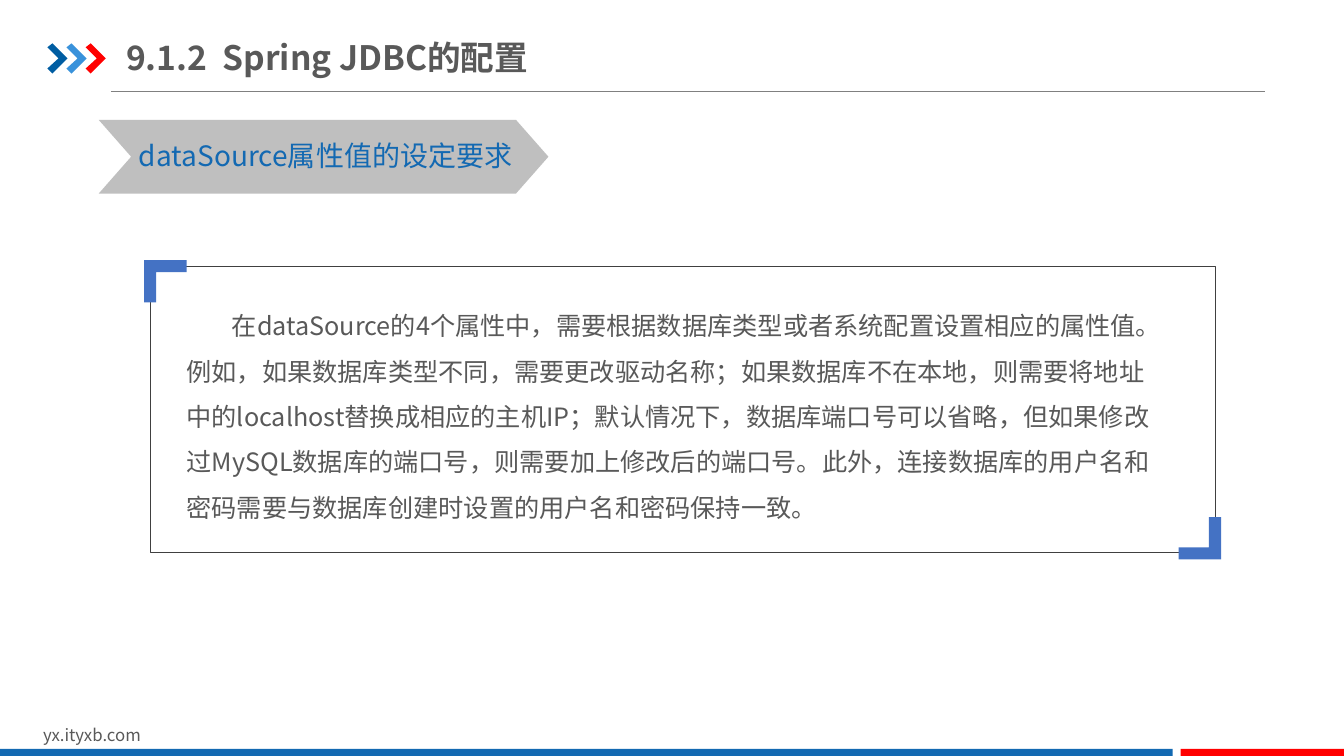
from dataclasses import dataclass

from lxml.etree import SubElement
from pptx import Presentation
from pptx.dml.color import RGBColor
from pptx.enum.shapes import MSO_CONNECTOR, MSO_SHAPE
from pptx.enum.text import MSO_ANCHOR, MSO_AUTO_SIZE, PP_ALIGN
from pptx.oxml.ns import qn
from pptx.util import Inches, Pt


@dataclass(frozen=True)
class Theme:
    font: str = "Noto Sans CJK SC"
    text: RGBColor = RGBColor(0x59, 0x59, 0x59)
    blue: RGBColor = RGBColor(0x13, 0x69, 0xB2)
    navy: RGBColor = RGBColor(0x00, 0x5D, 0xA2)
    sky: RGBColor = RGBColor(0x39, 0x92, 0xDB)
    red: RGBColor = RGBColor(0xFF, 0x00, 0x00)
    bracket: RGBColor = RGBColor(0x44, 0x72, 0xC4)
    banner: RGBColor = RGBColor(0xBF, 0xBF, 0xBF)
    rule: RGBColor = RGBColor(0x80, 0x80, 0x80)
    frame: RGBColor = RGBColor(0x40, 0x40, 0x40)
    title_size: Pt = Pt(24)
    topic_size: Pt = Pt(20)
    body_size: Pt = Pt(18)
    footer_size: Pt = Pt(12)


theme = Theme()
prs = Presentation()
prs.slide_width, prs.slide_height = Inches(13.33), Inches(7.5)
slide = prs.slides.add_slide(prs.slide_layouts[1])
shapes = slide.shapes


def write_text(holder, box, text, size, color, bold=False, margins=(0.1, 0.05), anchor=MSO_ANCHOR.TOP):
    """Place a text holder at box (inches) and fill it with one formatted paragraph."""
    for side, value in zip(("left", "top", "width", "height"), box):
        setattr(holder, side, Inches(value))
    frame = holder.text_frame
    frame_format = {
        "word_wrap": True,
        "auto_size": MSO_AUTO_SIZE.NONE,
        "vertical_anchor": anchor,
        "margin_left": Inches(margins[0]),
        "margin_right": Inches(margins[0]),
        "margin_top": Inches(margins[1]),
        "margin_bottom": Inches(margins[1]),
    }
    for name, value in frame_format.items():
        setattr(frame, name, value)
    paragraph = frame.paragraphs[0]
    paragraph.alignment = PP_ALIGN.LEFT
    paragraph.space_before = Pt(0)
    run = paragraph.add_run()
    run.text = text
    run.font.color.rgb = color
    for name, value in {"name": theme.font, "size": size, "bold": bold}.items():
        setattr(run.font, name, value)
    SubElement(run.font._element, qn("a:ea"), typeface=theme.font)
    return paragraph


def add_polygon(points, color):
    start, *rest = [(Inches(x), Inches(y)) for x, y in points]
    builder = shapes.build_freeform(*start)
    builder.add_line_segments(rest, close=True)
    polygon = builder.convert_to_shape()
    polygon.shadow.inherit = False
    polygon.fill.solid()
    polygon.fill.fore_color.rgb = color
    polygon.line.fill.background()


# Heading
heading_rule = shapes.add_connector(
    MSO_CONNECTOR.STRAIGHT, Inches(1.1), Inches(0.91), Inches(12.55), Inches(0.91))
heading_rule.line.color.rgb = theme.rule
heading_rule.line.width = Pt(0.5)
SubElement(heading_rule._element.spPr, qn("a:effectLst"))

arrow_outline = [(0, 0.04), (0.05, 0), (0.2, 0.15), (0.05, 0.3), (0, 0.25), (0.11, 0.15)]
for index, color in enumerate((theme.navy, theme.sky, theme.red)):
    left = 0.47 + index * 0.19
    add_polygon([(left + x, 0.43 + y) for x, y in arrow_outline], color)

write_text(shapes.title, (1.25, 0.29, 4.6, 0.55), "9.1.2  Spring JDBC的配置",
           theme.title_size, theme.text, True, (0, 0.07), MSO_ANCHOR.MIDDLE)

# Filled bands: footer bars and topic banner
bands = [
    (MSO_SHAPE.RECTANGLE, (0, 7.43, 11.63, 0.07), theme.blue),
    (MSO_SHAPE.RECTANGLE, (11.71, 7.43, 1.62, 0.07), theme.red),
    (MSO_SHAPE.CHEVRON, (0.98, 1.19, 4.46, 0.73), theme.banner),
]
for kind, box, color in bands:
    band = shapes.add_shape(kind, *map(Inches, box))
    band.shadow.inherit = False
    band.fill.solid()
    band.fill.fore_color.rgb = color
    band.line.fill.background()
    if kind == MSO_SHAPE.CHEVRON:
        band.adjustments[0] = 0.44

labels = [
    ((1.28, 1.33, 4.01, 0.44), "dataSource属性值的设定要求", theme.topic_size, theme.blue),
    ((0.33, 7.14, 3.18, 0.3), "yx.ityxb.com", theme.footer_size, theme.text),
]
for box, text, size, color in labels:
    write_text(shapes.add_textbox(0, 0, 0, 0), box, text, size, color)

# Framed explanation
explanation = write_text(
    slide.placeholders[1], (1.75, 2.88, 9.94, 2.33),
    "在dataSource的4个属性中，需要根据数据库类型或者系统配置设置相应的属性值。"
    "例如，如果数据库类型不同，需要更改驱动名称；如果数据库不在本地，"
    "则需要将地址中的localhost替换成相应的主机IP；默认情况下，数据库端口号可以省略，"
    "但如果修改过MySQL数据库的端口号，则需要加上修改后的端口号。"
    "此外，连接数据库的用户名和密码需要与数据库创建时设置的用户名和密码保持一致。",
    theme.body_size, theme.text)
explanation.line_spacing = 1.5
paragraph_format = explanation._p.get_or_add_pPr()
paragraph_format.set("marL", "0")
paragraph_format.set("indent", str(Inches(0.45)))
SubElement(paragraph_format, qn("a:buNone"))

frame = shapes.add_shape(
    MSO_SHAPE.RECTANGLE, Inches(1.49), Inches(2.64), Inches(10.56), Inches(2.84))
frame.shadow.inherit = False
frame.fill.background()
frame.line.color.rgb = theme.frame
frame.line.width = Pt(0.25)

bracket_outline = [(0, 0), (0.42, 0), (0.42, 0.12), (0.12, 0.12), (0.12, 0.42), (0, 0.42)]
for corner_x, corner_y, direction in ((1.43, 2.58, 1), (12.11, 5.55, -1)):
    add_polygon([(corner_x + direction * x, corner_y + direction * y)
                 for x, y in bracket_outline], theme.bracket)

prs.save("out.pptx")
